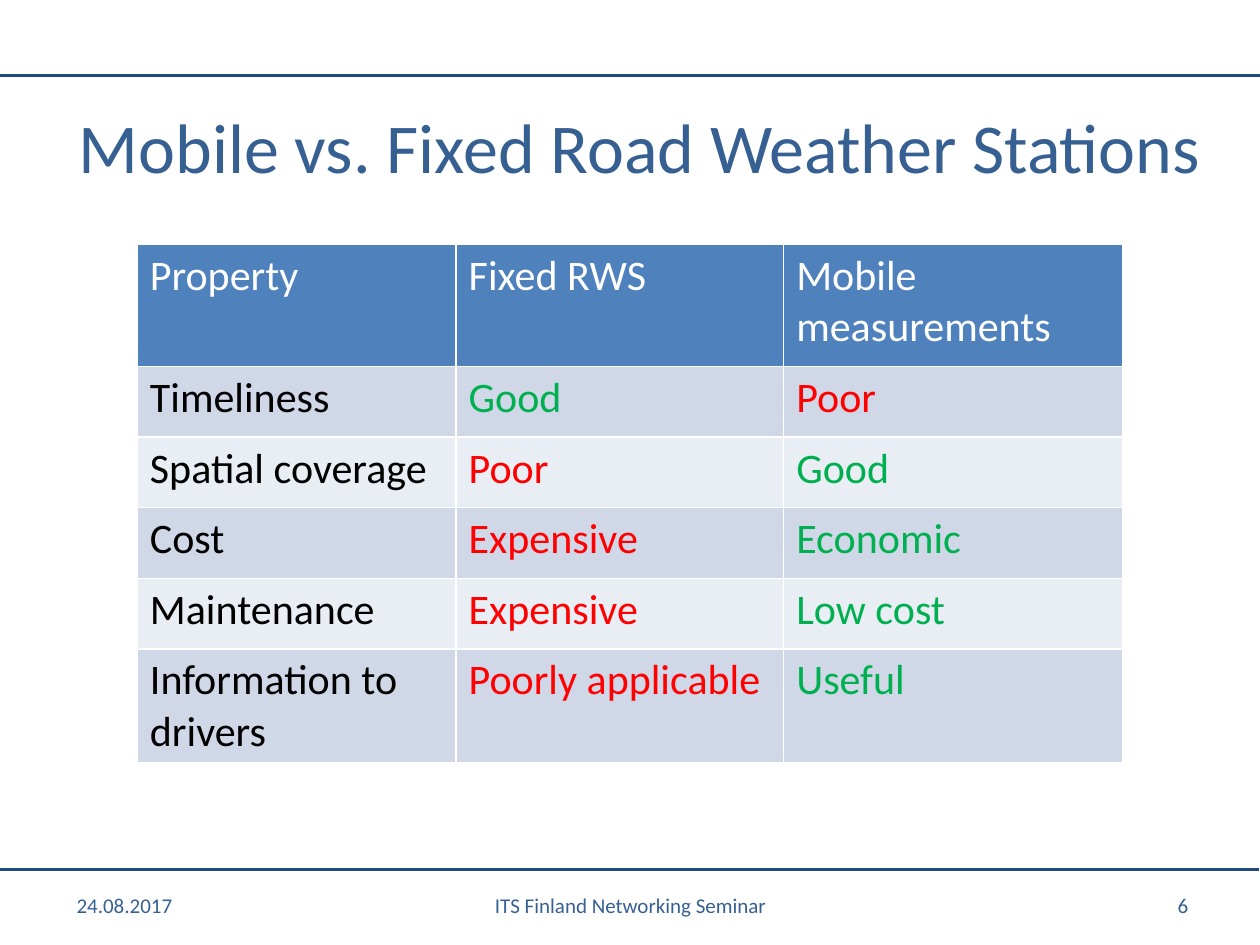
"""Build a slide comparing mobile and fixed road weather stations."""
from lxml import etree
from pptx import Presentation
from pptx.dml.color import RGBColor
from pptx.enum import shapes, text
from pptx.oxml.ns import qn
from pptx.util import Inches, Pt


def color(fmt, value):
    fmt.rgb = RGBColor.from_string(value)


def style(p, size, value):
    p.font.name = "Calibri"
    p.font.size = Pt(size)
    p.font.bold = False
    color(p.font.color, value)


prs = Presentation()
prs.slide_width, prs.slide_height = Inches(10), Inches(7.5)
s = prs.slides.add_slide(prs.slide_layouts[6])

for left, y in [(0, 0.6), (-0.01, 6.9)]:
    line = s.shapes.add_connector(
        shapes.MSO_CONNECTOR.STRAIGHT,
        Inches(left), Inches(y), Inches(left + 10), Inches(y))
    color(line.line.color, "1F497D")
    line.line.width = Pt(2)
    etree.SubElement(line._element.spPr, qn("a:effectLst"))

LEFT, CENTER, RIGHT = text.PP_ALIGN.LEFT, text.PP_ALIGN.CENTER, text.PP_ALIGN.RIGHT
texts = [
    ("Mobile vs. Fixed Road Weather Stations", 0.5, 0.84, 9.15, 0.63, 40, CENTER),
    ("24.08.2017", 0.51, 6.98, 2.33, 0.4, 12, LEFT),
    ("ITS Finland Networking Seminar", 3.42, 6.98, 3.17, 0.4, 12, CENTER),
    ("6", 7.2, 6.98, 2.33, 0.4, 12, RIGHT),
]
for words, left, top, width, height, size, align in texts:
    sp = s.shapes.add_textbox(Inches(left), Inches(top), Inches(width), Inches(height))
    tf = sp.text_frame
    tf.word_wrap = True
    tf.vertical_anchor = text.MSO_ANCHOR.MIDDLE
    p = tf.paragraphs[0]
    p.text = words
    p.alignment = align
    style(p, size, "376092")

rows = [
    ("Property", "Fixed RWS", "Mobile measurements"),
    ("Timeliness", "Good", "Poor"),
    ("Spatial coverage", "Poor", "Good"),
    ("Cost", "Expensive", "Economic"),
    ("Maintenance", "Expensive", "Low cost"),
    ("Information to drivers", "Poorly applicable", "Useful"),
]
good = {"Good", "Economic", "Low cost", "Useful"}
table = s.shapes.add_table(
    len(rows), 3, Inches(1.09), Inches(1.94), Inches(7.82), Inches(3.77)).table
for column, width in zip(table.columns, (2.53, 2.6, 2.69)):
    column.width = Inches(width)
for i, row in enumerate(rows):
    table.rows[i].height = Inches(0.56 if i else 0.97)
    for j, words in enumerate(row):
        cell = table.cell(i, j)
        cell.fill.solid()
        if i == 0:
            fill, ink = "4F81BD", "FFFFFF"
        else:
            fill = "D0D8E8" if i % 2 else "E9EDF4"
            ink = "000000" if j == 0 else "00B050" if words in good else "FF0000"
        color(cell.fill.fore_color, fill)
        p = cell.text_frame.paragraphs[0]
        p.text = words
        style(p, 24, ink)

prs.save("out.pptx")
